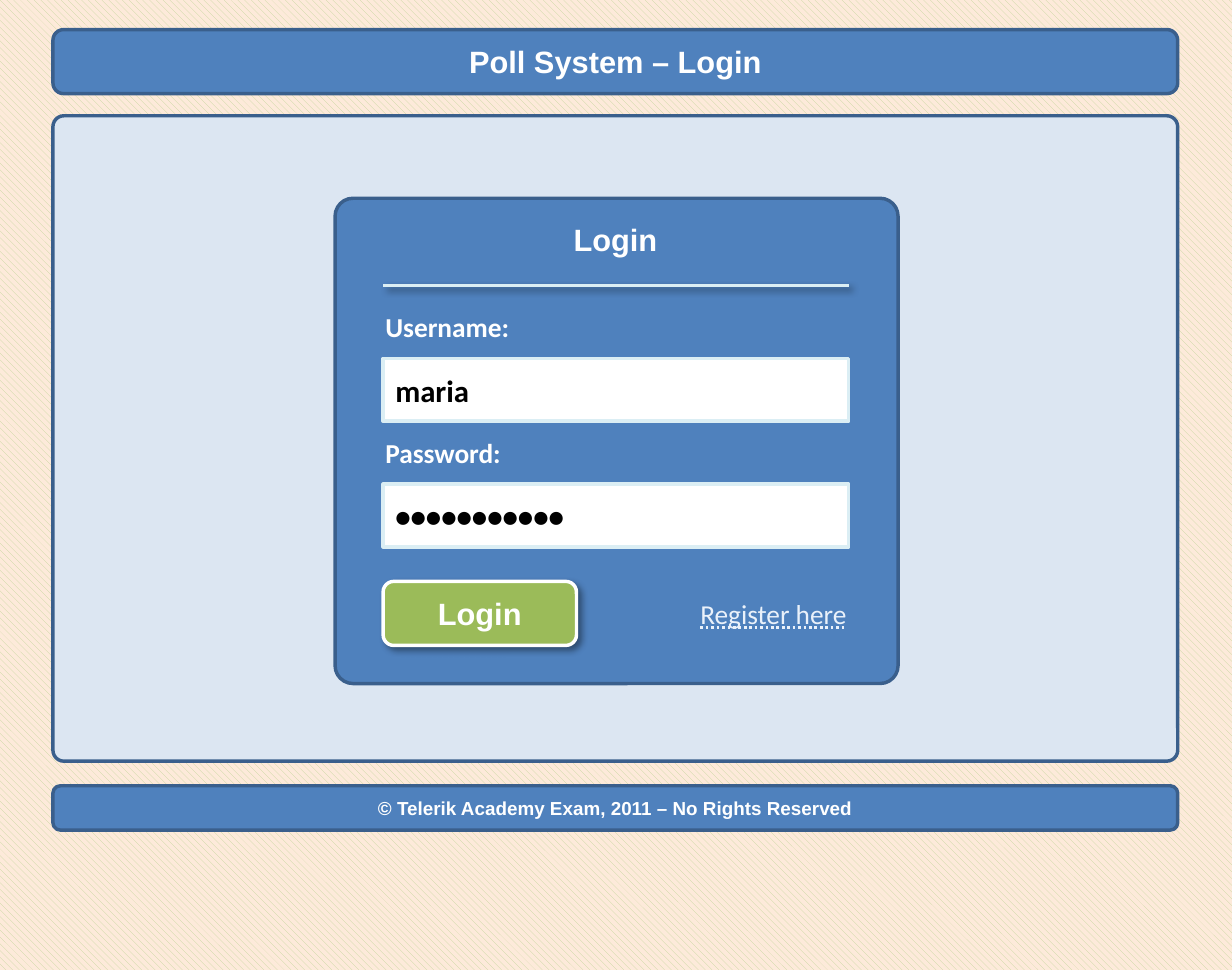
from dataclasses import dataclass

from lxml.etree import SubElement
from pptx import Presentation
from pptx.dml.color import RGBColor
from pptx.enum.dml import MSO_PATTERN
from pptx.enum.shapes import MSO_CONNECTOR, MSO_SHAPE
from pptx.enum.text import MSO_ANCHOR, MSO_AUTO_SIZE, MSO_UNDERLINE, PP_ALIGN
from pptx.oxml.ns import qn
from pptx.util import Inches, Pt


@dataclass(frozen=True)
class Theme:
    blue: str = "4F81BD"
    edge: str = "3A5F8C"
    pale: str = "DCE6F2"
    ice: str = "DBEEF4"
    link: str = "EAF1FA"
    green: str = "9BBB59"
    sand: str = "FDEADA"
    moss: str = "C3D69B"
    white: str = "FFFFFF"
    black: str = "000000"
    head: str = "Arial"
    body: str = "Calibri"
    big: int = 18
    mid: int = 16
    small: int = 11
    rule: int = 2


THEME = Theme()
EDGE, WIDE = 0.43, 9.13
LEFT, SPAN = 3.11, 3.78


def color(code):
    return RGBColor.from_string(code)


def place(box):
    return [Inches(n) for n in box]


def shade(item, drop=False):
    """Replace the style's shadow with none, or with a soft drop shadow."""
    effects = SubElement(item._element.spPr, qn("a:effectLst"))
    if drop:
        shadow = SubElement(effects, qn("a:outerShdw"), blurRad=str(Pt(4)), dist=str(Pt(3)),
                            dir=str(45 * 60000), algn="tl", rotWithShape="0")
        tint = SubElement(shadow, qn("a:srgbClr"), val=THEME.black)
        SubElement(tint, qn("a:alpha"), val="40000")


def write(item, text, size=THEME.big, font=THEME.head, ink=THEME.white, bold=True,
          line=None, align=PP_ALIGN.CENTER, anchor=MSO_ANCHOR.MIDDLE, pad=0.05):
    frame = item.text_frame
    frame.word_wrap = True
    frame.auto_size = MSO_AUTO_SIZE.NONE
    frame.vertical_anchor = anchor
    frame.margin_left = frame.margin_right = Inches(0.1)
    frame.margin_top = frame.margin_bottom = Inches(pad)
    para = frame.paragraphs[0]
    para.alignment = align
    run = para.add_run()
    run.text = text
    style = run.font
    style.name, style.size, style.bold = font, Pt(size), bold
    style.color.rgb = color(ink)
    style.underline = line


def panel(slide, box, fill, edge, kind=MSO_SHAPE.ROUNDED_RECTANGLE, curve=None, drop=False):
    item = slide.shapes.add_shape(kind, *place(box))
    if curve is not None:
        item.adjustments[0] = curve
    item.fill.solid()
    item.fill.fore_color.rgb = color(fill)
    item.line.color.rgb = color(edge)
    item.line.width = Pt(THEME.rule)
    shade(item, drop)
    return item


def label(slide, box, text, **style):
    write(slide.shapes.add_textbox(*place(box)), text, anchor=MSO_ANCHOR.TOP, **style)


def field(slide, top, name, value):
    label(slide, (3.03, top, SPAN, 0.37), name, size=THEME.mid,
          font=THEME.body, align=PP_ALIGN.LEFT)
    entry = panel(slide, (LEFT, top + 0.44, SPAN, 0.51), THEME.white, THEME.ice,
                  kind=MSO_SHAPE.RECTANGLE)
    write(entry, value, font=THEME.body, ink=THEME.black, align=PP_ALIGN.LEFT)


def divide(slide, top):
    rule = slide.shapes.add_connector(
        MSO_CONNECTOR.STRAIGHT, *place((LEFT, top, LEFT + SPAN, top)))
    rule.line.color.rgb = color(THEME.ice)
    rule.line.width = Pt(THEME.rule)
    shade(rule, drop=True)


def header(slide, text):
    """Draw the top bar and set the slide title over it."""
    box = (EDGE, 0.24, WIDE, 0.52)
    panel(slide, box, THEME.blue, THEME.edge)
    title = slide.shapes.title
    title.left, title.top, title.width, title.height = place(box)
    write(title, text, pad=0)
    slide.shapes._spTree.append(title._element)


def footer(slide, text):
    bar = panel(slide, (EDGE, 6.38, WIDE, 0.36), THEME.blue, THEME.edge)
    write(bar, text, size=THEME.small, pad=0)


def paint(slide):
    fill = slide.background.fill
    fill.patterned()
    fill.pattern = MSO_PATTERN.WIDE_DOWNWARD_DIAGONAL
    fill.fore_color.rgb = color(THEME.moss)
    fill.back_color.rgb = color(THEME.sand)


def login(slide):
    panel(slide, (2.72, 1.61, 4.57, 3.94), THEME.blue, THEME.edge, curve=0.037)
    divide(slide, 2.32)
    label(slide, (2.95, 1.74, 4.09, 0.4), "Login")
    pairs = (("Username:", "maria"), ("Password:", "•" * 11))
    for i, (name, value) in enumerate(pairs):
        field(slide, 2.47 + 1.02 * i, name, value)
    button = panel(slide, (LEFT, 4.72, 1.57, 0.52), THEME.green, THEME.white, drop=True)
    write(button, "Login")
    label(slide, (4.92, 4.8, 2.05, 0.37), "Register here", size=THEME.mid,
          font=THEME.body, ink=THEME.link, bold=False, align=PP_ALIGN.RIGHT,
          line=MSO_UNDERLINE.DOTTED_LINE)


def main():
    deck = Presentation()
    deck.slide_width, deck.slide_height = Inches(10), Inches(63 / 8)
    slide = deck.slides.add_slide(deck.slide_layouts[5])
    paint(slide)
    panel(slide, (EDGE, 0.94, WIDE, 5.24), THEME.pale, THEME.edge, curve=0.017)
    login(slide)
    header(slide, "Poll System – Login")
    footer(slide, "© Telerik Academy Exam, 2011 – No Rights Reserved")
    deck.save("out.pptx")


if __name__ == "__main__":
    main()
